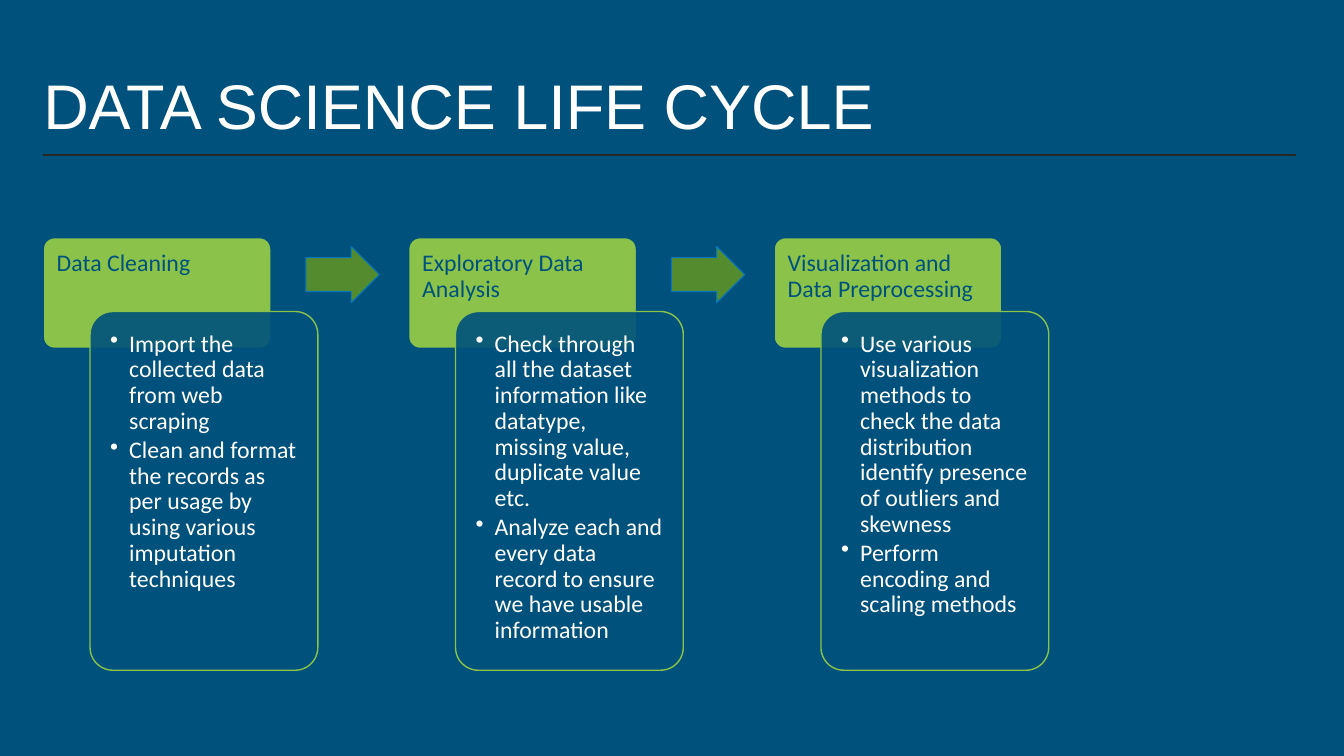
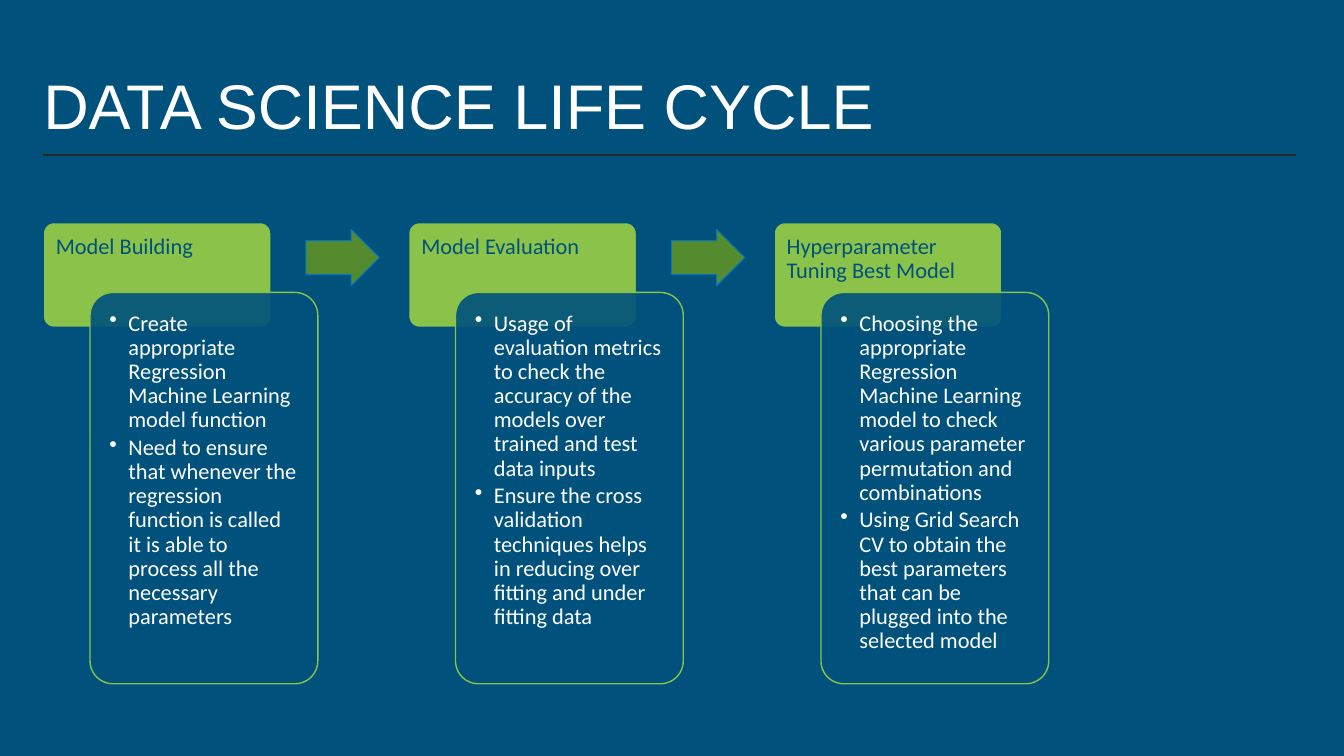
from lxml import etree
from pptx import Presentation
from pptx.dml.color import RGBColor
from pptx.enum.shapes import MSO_CONNECTOR, MSO_SHAPE
from pptx.enum.text import MSO_ANCHOR, MSO_AUTO_SIZE, PP_ALIGN
from pptx.oxml.ns import qn
from pptx.util import Cm, Pt

# Enum members
ROUNDED, ARROW = MSO_SHAPE.ROUNDED_RECTANGLE, MSO_SHAPE.RIGHT_ARROW
STRAIGHT = MSO_CONNECTOR.STRAIGHT
TOP, BOTTOM = MSO_ANCHOR.TOP, MSO_ANCHOR.BOTTOM
LEFT = PP_ALIGN.LEFT
NO_AUTOFIT = MSO_AUTO_SIZE.NONE

# Colours
NAVY = RGBColor(0x00, 0x51, 0x7C)
LIME = RGBColor(0x8B, 0xC3, 0x4A)
GREEN = RGBColor(0x55, 0x8B, 0x2F)
BLUE = RGBColor(0x02, 0x77, 0xBD)
DARK = RGBColor(0x26, 0x26, 0x26)
WHITE = RGBColor(0xFF, 0xFF, 0xFF)

# Layout, in centimetres
MARGIN, CONTENT_WIDTH = 1.09, 31.57
TITLE_TOP, TITLE_HEIGHT, RULE_TOP = 0.94, 2.79, 3.91
STEP_PITCH, BOX_WIDTH, CARD_SHIFT = 9.21, 5.74, 1.18
ARROW_SHIFT, ARROW_WIDTH, ARROW_HEIGHT = 6.62, 1.85, 1.42
BULLET_INDENT = 0.48
CORNER_INSET = 0.08  # text inset that the tab's round corners already give

TITLE = "DATA SCIENCE LIFE CYCLE"
SLIDES = [
    {"size": 17, "tab_top": 5.99, "card_top": 7.85, "card_height": 9.04, "steps": [
        ("Data Cleaning",
         ["Import the collected data from web scraping",
          "Clean and format the records as per usage by using various "
          "imputation techniques"]),
        ("Exploratory Data Analysis",
         ["Check through all the dataset information like datatype, "
          "missing value, duplicate value etc.",
          "Analyze each and every data record to ensure we have usable information"]),
        ("Visualization and Data Preprocessing",
         ["Use various visualization methods to check the data distribution "
          "identify presence of outliers and skewness",
          "Perform encoding and scaling methods"]),
    ]},
    {"size": 16, "tab_top": 5.61, "card_top": 7.37, "card_height": 9.86, "steps": [
        ("Model Building",
         ["Create appropriate Regression Machine Learning model function",
          "Need to ensure that whenever the regression function is called it "
          "is able to process all the necessary parameters"]),
        ("Model Evaluation",
         ["Usage of evaluation metrics to check the accuracy of the models "
          "over trained and test data inputs",
          "Ensure the cross validation techniques helps in reducing over "
          "fitting and under fitting data"]),
        ("Hyperparameter Tuning Best Model",
         ["Choosing the appropriate Regression Machine Learning model to check "
          "various parameter permutation and combinations",
          "Using Grid Search CV to obtain the best parameters that can be "
          "plugged into the selected model"]),
    ]},
]


def set_format(target, values):
    for name, value in values.items():
        setattr(target, name, value)


class Deck:
    """Holds the shared style and the current slide."""

    def __init__(self):
        self.presentation = Presentation()
        set_format(self.presentation, {"slide_width": Cm(33.87), "slide_height": Cm(19.05)})
        background = self.presentation.slide_master.background.fill
        background.solid()
        background.fore_color.rgb = NAVY
        self.slide = None

    def add_slide(self, title):
        layout = self.presentation.slide_layouts.get_by_name("Title Only")
        self.slide = self.presentation.slides.add_slide(layout)
        self.rule(RULE_TOP)
        shape = self.slide.shapes.title
        set_format(shape, {"left": Cm(MARGIN), "top": Cm(TITLE_TOP),
                           "width": Cm(CONTENT_WIDTH), "height": Cm(TITLE_HEIGHT)})
        self.set_text(shape, [title], 45, WHITE, (0, 0.13), "Arial", BOTTOM)

    def rule(self, top):
        line = self.slide.shapes.add_connector(
            STRAIGHT, Cm(MARGIN), Cm(top), Cm(MARGIN + CONTENT_WIDTH), Cm(top))
        line.line.width = Pt(1)
        line.line.color.rgb = DARK
        etree.SubElement(line._element.spPr, qn("a:effectLst"))

    def set_text(self, shape, texts, size, color, insets, font="Calibri", anchor=TOP):
        """Fill a shape with paragraphs; insets are (sides, top and bottom)."""
        frame = shape.text_frame
        sides, ends = map(Cm, insets)
        set_format(frame, {"word_wrap": True, "auto_size": NO_AUTOFIT,
                           "vertical_anchor": anchor,
                           "margin_left": sides, "margin_right": sides,
                           "margin_top": ends, "margin_bottom": ends})
        frame.text = "\n".join(texts)
        for paragraph in frame.paragraphs:
            set_format(paragraph, {"alignment": LEFT, "line_spacing": 0.9})
            set_format(paragraph.font, {"size": Pt(size), "name": font})
            paragraph.font.color.rgb = color
        return frame.paragraphs

    def box(self, kind, left, top, width, height, fill, line, line_width, adjustments):
        shape = self.slide.shapes.add_shape(kind, Cm(left), Cm(top), Cm(width), Cm(height))
        shape.shadow.inherit = False
        shape.fill.solid()
        shape.fill.fore_color.rgb = fill
        shape.line.color.rgb = line
        shape.line.width = Pt(line_width)
        for index, value in enumerate(adjustments):
            shape.adjustments[index] = value
        return shape

    def tab(self, left, top, height, text, size):
        shape = self.box(ROUNDED, left, top, BOX_WIDTH, height, LIME, NAVY, 1, [0.1])
        inset = size * 0.02 - CORNER_INSET
        self.set_text(shape, [text], size, NAVY, (inset, inset))

    def card(self, left, top, height, items, size):
        shape = self.box(ROUNDED, left, top, BOX_WIDTH, height, NAVY, LIME, 1, [0.1])
        color = shape._element.spPr.find(qn("a:solidFill"))[0]
        etree.SubElement(color, qn("a:alpha"), val="90000")
        inset = size * 0.02
        paragraphs = self.set_text(shape, items, size, WHITE, (inset, inset))
        for index, paragraph in enumerate(paragraphs):
            paragraph.space_before = Pt(2.5 if index else 0)
            self.bullet(paragraph)

    def bullet(self, paragraph):
        properties = paragraph._p.get_or_add_pPr()
        properties.set("marL", str(Cm(BULLET_INDENT)))
        properties.set("indent", str(-Cm(BULLET_INDENT)))
        color = etree.SubElement(properties, qn("a:buClr"))
        etree.SubElement(color, qn("a:srgbClr"), val=str(WHITE))
        etree.SubElement(properties, qn("a:buChar"), char="•")

    def arrow(self, left, middle):
        self.box(ARROW, left, middle - ARROW_HEIGHT / 2, ARROW_WIDTH, ARROW_HEIGHT,
                 GREEN, BLUE, 0.75, [0.6, 0.5])

    def process(self, steps, size, tab_top, card_top, card_height):
        """Draw a row of steps with an arrow between neighbours."""
        visible = card_top - tab_top
        for index, (name, items) in enumerate(steps):
            left = MARGIN + index * STEP_PITCH
            self.tab(left, tab_top, visible * 1.5, name, size)
            self.card(left + CARD_SHIFT, card_top, card_height, items, size)
            if index < len(steps) - 1:
                self.arrow(left + ARROW_SHIFT, tab_top + visible / 2)


def main():
    deck = Deck()
    for content in SLIDES:
        deck.add_slide(TITLE)
        deck.process(**content)
    deck.presentation.save("out.pptx")


if __name__ == "__main__":
    main()
